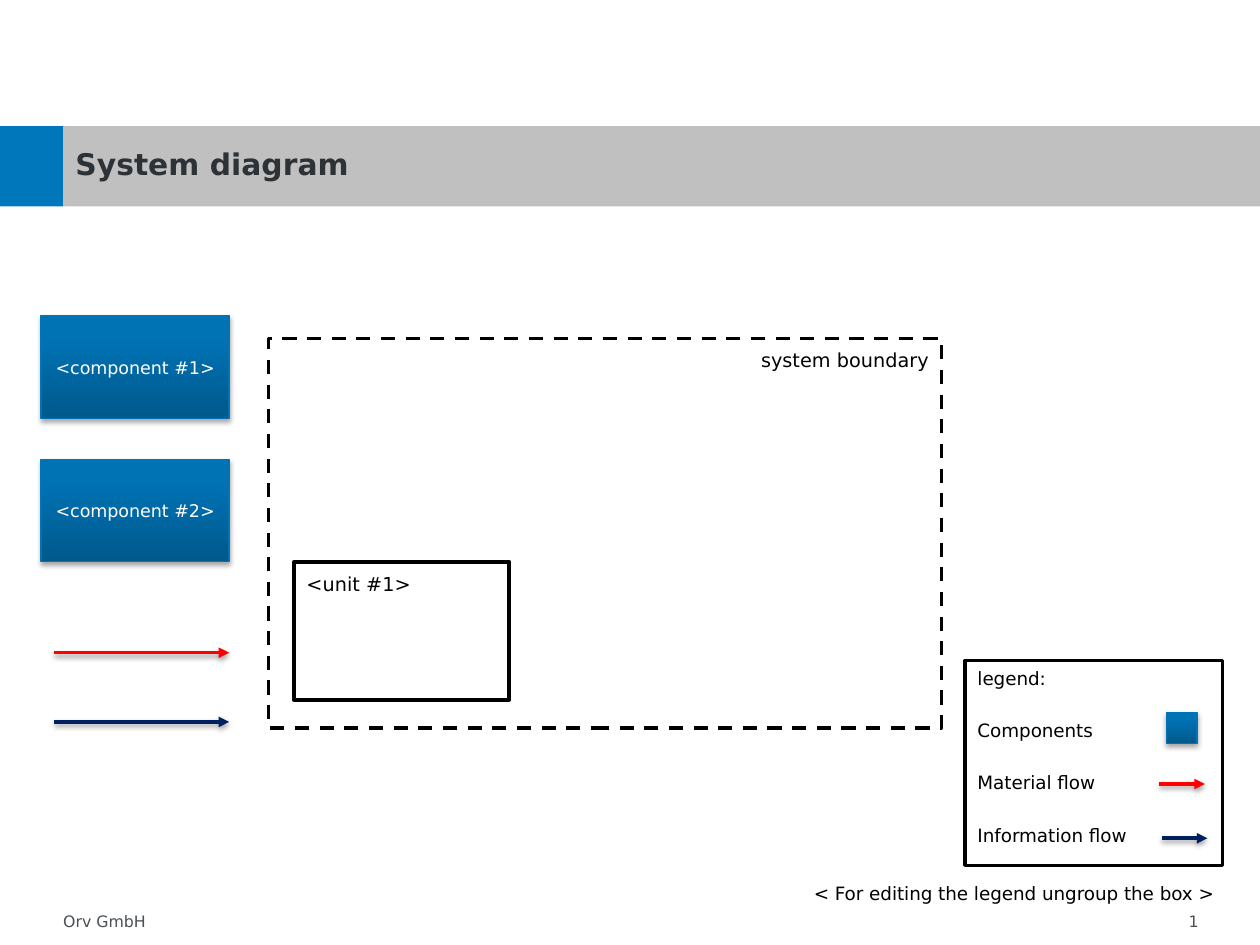
"""Build the system diagram slide with its components, flows and legend."""
from pptx import Presentation
from pptx.dml.color import RGBColor
from pptx.enum import dml, shapes, text
from pptx.oxml import parse_xml
from pptx.oxml.ns import nsdecls
from pptx.util import Pt

FONT = "DejaVu Sans"
BLACK, WHITE, GREY, DARK = "000000", "FFFFFF", "4A5053", "2D3237"
BLUE, SILVER, EDGE = "0077BB", "C0C0C0", "0074B7"
GRADIENT = [(0, "00598C"), (80, "0073B5"), (100, "0074B6")]
MATERIAL, INFORMATION = "FF0000", "002060"
LEFT, CENTER, RIGHT = text.PP_ALIGN.LEFT, text.PP_ALIGN.CENTER, text.PP_ALIGN.RIGHT
TOP, MIDDLE = text.MSO_ANCHOR.TOP, text.MSO_ANCHOR.MIDDLE
FRAME_INSETS = (7.2, 5.76, 7.2, 8.64)

BANDS = [((36, 72, 684, 46), SILVER), ((0, 72, 36, 46), BLUE)]
TITLE = "System diagram"
FOOTERS = [("1", 482.5, RIGHT), ("Orv GmbH", 29, LEFT)]
FRAMES = [
    ("system boundary", (153.5, 193.5, 384.5, 222.5), RIGHT, True),
    ("<unit #1>", (168, 321, 123, 79), LEFT, False),
]
COMPONENTS = ["<component #1>", "<component #2>"]
COMPONENT_TOP, COMPONENT_PITCH = 180.5, 82
FLOWS = [(31, 131, 373, MATERIAL), (31, 131, 412.5, INFORMATION)]
LEGEND = ["legend:", "Components", "Material flow", "Information flow"]
LEGEND_FLOWS = [(662.5, 688.5, 448, MATERIAL), (664, 690, 479, INFORMATION)]
NOTE = "< For editing the legend ungroup the box >"


def color(value):
    return RGBColor.from_string(value)


def write(shape, lines, size, ink, align=LEFT, anchor=TOP, bold=False, gap=0, insets=None):
    frame = shape.text_frame
    frame.text = "\n".join(lines)
    frame.word_wrap = True
    frame.vertical_anchor = anchor
    if insets:
        (frame.margin_left, frame.margin_top,
         frame.margin_right, frame.margin_bottom) = map(Pt, insets)
    for index, paragraph in enumerate(frame.paragraphs):
        paragraph.alignment = align
        paragraph.space_before = Pt(gap if index else 0)
        font = paragraph.runs[0].font
        font.name, font.size, font.bold = FONT, Pt(size), bold
        font.color.rgb = color(ink)


def add_label(parent, box, line, *style, **options):
    label = parent.add_textbox(*map(Pt, box))
    write(label, [line], *style, **options)
    return label


def add_box(parent, box, fill=None, line=None, width=2):
    rect = parent.add_shape(shapes.MSO_SHAPE.RECTANGLE, *map(Pt, box))
    rect.shadow.inherit = False
    if fill:
        rect.fill.solid()
        rect.fill.fore_color.rgb = color(fill)
    else:
        rect.fill.background()
    if line:
        rect.line.color.rgb = color(line)
        rect.line.width = Pt(width)
    else:
        rect.line.fill.background()
    return rect


def add_shadow(properties, opacity, distance):
    for effects in properties.findall("{*}effectLst"):
        properties.remove(effects)
    properties.append(parse_xml(
        f'<a:effectLst {nsdecls("a")}><a:outerShdw blurRad="{Pt(3.1)}" '
        f'dist="{Pt(distance)}" dir="5400000" rotWithShape="0"><a:srgbClr val="{BLACK}">'
        f'<a:alpha val="{opacity * 1000}"/></a:srgbClr></a:outerShdw></a:effectLst>'))


def add_component(parent, box):
    component = add_box(parent, box, BLUE, EDGE, 0.75)
    properties = component._element.spPr
    stops = "".join(f'<a:gs pos="{position * 1000}"><a:srgbClr val="{value}"/></a:gs>'
                    for position, value in GRADIENT)
    properties.replace(properties.find("{*}solidFill"), parse_xml(
        f'<a:gradFill {nsdecls("a")} rotWithShape="1"><a:gsLst>{stops}</a:gsLst>'
        '<a:lin ang="16200000" scaled="0"/></a:gradFill>'))
    add_shadow(properties, 35, 1.8)
    return component


def add_flow(parent, start, end, y, ink):
    flow = parent.add_connector(shapes.MSO_CONNECTOR.STRAIGHT, Pt(start), Pt(y), Pt(end), Pt(y))
    flow.line.color.rgb = color(ink)
    flow.line.width = Pt(2)
    flow.line._ln.append(parse_xml(f'<a:tailEnd {nsdecls("a")} type="triangle"/>'))
    add_shadow(flow._element.spPr, 38, 1.6)


def main():
    deck = Presentation()
    deck.slide_width, deck.slide_height = Pt(720), Pt(540)
    canvas = deck.slides.add_slide(deck.slide_layouts[6]).shapes

    for line, left, align in FOOTERS:
        add_label(canvas, (left, 517.5, 209.5, 18), line, 9, GREY, align)
    for box, fill in BANDS:
        add_box(canvas, box, fill)
    title = add_label(canvas, (36, 82, 619, 26), TITLE, 17, DARK, anchor=MIDDLE, bold=True)
    title.text_frame.paragraphs[0].line_spacing = 0.9

    for line, box, align, dashed in FRAMES:
        frame = add_box(canvas, box, line=BLACK)
        if dashed:
            frame.line.dash_style = dml.MSO_LINE.DASH
        write(frame, [line], 11, BLACK, align, insets=FRAME_INSETS)
    for index, line in enumerate(COMPONENTS):
        top = COMPONENT_TOP + index * COMPONENT_PITCH
        component = add_component(canvas, (23.5, top, 107.5, 58.5))
        write(component, [line], 10, WHITE, CENTER, MIDDLE)
    for flow in FLOWS:
        add_flow(canvas, *flow)

    legend = canvas.add_group_shape().shapes
    key = add_box(legend, (551.5, 377.5, 147, 117), line=BLACK)
    write(key, LEGEND, 10.5, BLACK, gap=17.4)
    add_component(legend, (666.5, 407, 17.5, 18))
    for flow in LEGEND_FLOWS:
        add_flow(legend, *flow)
    add_label(canvas, (458, 500.5, 249, 21), NOTE, 10.5, BLACK)

    deck.save("out.pptx")


if __name__ == "__main__":
    main()
